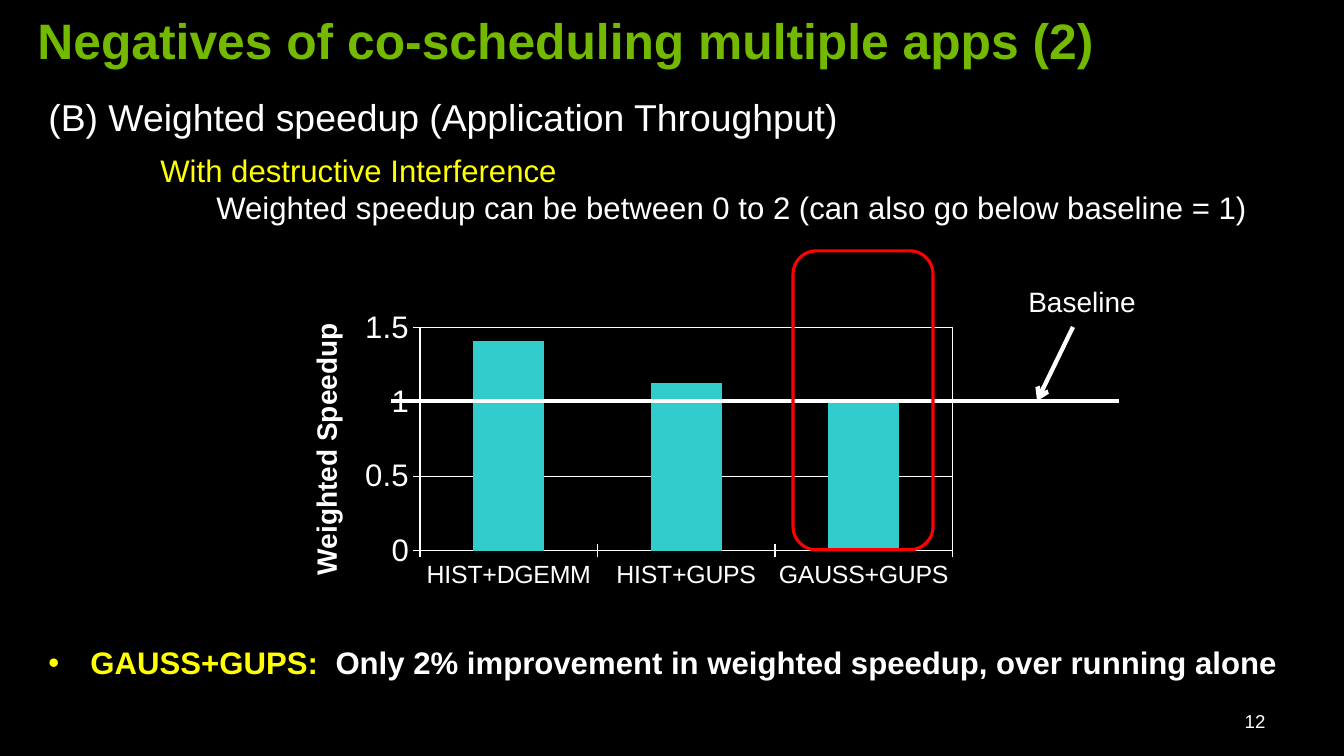
from dataclasses import dataclass

from pptx import Presentation
from pptx.chart.data import CategoryChartData
from pptx.dml.color import RGBColor
from pptx.enum.chart import XL_CHART_TYPE, XL_TICK_MARK
from pptx.enum.shapes import MSO_CONNECTOR, MSO_SHAPE
from pptx.enum.text import MSO_ANCHOR, PP_ALIGN
from pptx.oxml import parse_xml
from pptx.oxml.ns import nsdecls, qn
from pptx.util import Pt

COLUMNS = XL_CHART_TYPE.COLUMN_CLUSTERED
CROSS = XL_TICK_MARK.CROSS
STRAIGHT = MSO_CONNECTOR.STRAIGHT
ROUNDED = MSO_SHAPE.ROUNDED_RECTANGLE
TOP, MIDDLE = MSO_ANCHOR.TOP, MSO_ANCHOR.MIDDLE
LEFT, RIGHT = PP_ALIGN.LEFT, PP_ALIGN.RIGHT
FONT = "Arial"
COLORS = {
    "background": "000000",
    "title": "73B900",
    "text": "FFFFFF",
    "emphasis": "FFFF00",
    "bar": "33CCCC",
    "highlight": "FF0000",
}
PLOT = {"x": 0.207, "y": 0.13, "w": 0.751, "h": 0.668}


@dataclass
class Span:
    text: str
    size: float
    color: str = "text"
    bold: bool = False


@dataclass
class Para:
    spans: list[Span]
    margin: float = 0
    bullet: bool = False
    align: PP_ALIGN = LEFT


@dataclass
class TextBox:
    left: float
    top: float
    width: float
    height: float
    paras: list[Para]
    anchor: MSO_ANCHOR = TOP


@dataclass
class Line:
    start: tuple[float, float]
    end: tuple[float, float]
    weight: float
    arrow: bool = False


TEXT_BOXES = [
    TextBox(24, 410.4, 857, 58, [Para([
        Span("GAUSS+GUPS:  ", 20, "emphasis", True),
        Span("Only 2% improvement in weighted speedup, over running alone", 20, bold=True),
    ], 27, True)]),
    TextBox(619, 450.7, 201.6, 26, [Para([Span("12", 12)], align=RIGHT)], MIDDLE),
    TextBox(17, 2.9, 762, 46, [
        Para([Span("Negatives of co-scheduling multiple apps (2)", 32, "title", True)])]),
    TextBox(24, 57, 608, 36, [
        Para([Span("(B) Weighted speedup (Application Throughput)", 24)])]),
    TextBox(60, 93.6, 792, 55.5, [
        Para([Span("With destructive Interference", 20, "emphasis")], 36),
        Para([Span("Weighted speedup can be between 0 to 2 "
                   "(can also go below baseline = 1)", 20)], 72),
    ]),
    TextBox(654, 179.3, 92, 30, [Para([Span("Baseline", 18)])]),
]
LINES = [
    Line((251.3, 257.8), (719.3, 257.8), 2),
    Line((689.8, 210.2), (666.7, 257.8), 2.75, True),
]


def rgb(name: str) -> RGBColor:
    """Return a named colour."""
    return RGBColor.from_string(COLORS[name])


def style_font(font, size: float, color: str = "text", bold: bool = False) -> None:
    """Set the face, size, colour and weight of a font."""
    font.name, font.size, font.bold = FONT, Pt(size), bold
    font.color.rgb = rgb(color)


def add_text(page, item: TextBox) -> None:
    """Draw a text box with its paragraphs."""
    box = page.shapes.add_textbox(Pt(item.left), Pt(item.top), Pt(item.width), Pt(item.height))
    frame = box.text_frame
    frame.word_wrap = True
    frame.vertical_anchor = item.anchor
    frame.text = "\n".join("" for _ in item.paras)
    for para, content in zip(frame.paragraphs, item.paras):
        para.alignment = content.align
        properties = para._p.get_or_add_pPr()
        properties.set("marL", str(Pt(content.margin)))
        if content.bullet:
            para.space_before = Pt(2)
            properties.set("indent", str(-Pt(content.margin)))
            properties.append(parse_xml(f'<a:buFont {nsdecls("a")} typeface="{FONT}"/>'))
            properties.append(parse_xml(f'<a:buChar {nsdecls("a")} char="•"/>'))
        for span in content.spans:
            run = para.add_run()
            run.text = span.text
            style_font(run.font, span.size, span.color, span.bold)


def add_line(page, item: Line) -> None:
    """Draw a straight line, with an arrowhead if asked."""
    points = [Pt(value) for value in item.start + item.end]
    connector = page.shapes.add_connector(STRAIGHT, *points)
    connector.line.color.rgb = rgb("text")
    connector.line.width = Pt(item.weight)
    if item.arrow:
        connector.line._get_or_add_ln().append(
            parse_xml(f'<a:tailEnd {nsdecls("a")} type="arrow"/>'))
    connector._element.spPr.append(parse_xml(f'<a:effectLst {nsdecls("a")}/>'))


def add_speedup_chart(page) -> None:
    """Draw the weighted speedup column chart."""
    data = CategoryChartData()
    data.categories = ["HIST+DGEMM", "HIST+GUPS", "GAUSS+GUPS"]
    data.add_series("Series 1", [1.41, 1.13, 1.02])
    chart = page.shapes.add_chart(
        COLUMNS, Pt(175.7), Pt(182.9), Pt(455.8), Pt(214.6), data).chart
    chart.has_legend = chart.has_title = False
    style_font(chart.font, 20)
    plot = chart.plots[0]
    plot.gap_width, plot.vary_by_categories = 150, False
    fill = plot.series[0].format.fill
    fill.solid()
    fill.fore_color.rgb = rgb("bar")

    values = chart.value_axis
    values.minimum_scale, values.maximum_scale, values.major_unit = 0, 1.5, 0.5
    values.has_major_gridlines = True
    values.axis_title.text_frame.text = "Weighted Speedup"
    title_run = values.axis_title.text_frame.paragraphs[0].runs[0]
    style_font(title_run.font, 18, bold=True)
    for axis, size in ((values, 20), (chart.category_axis, 16)):
        axis.major_tick_mark = CROSS
        style_font(axis.tick_labels.font, size)
        axis.format.line.color.rgb = rgb("text")
        axis.format.line.width = Pt(0.75)
    values.major_gridlines.format.line.color.rgb = rgb("text")
    values.major_gridlines.format.line.width = Pt(0.75)

    area = chart._chartSpace.chart.plotArea
    for layout in area.findall(qn("c:layout")):
        area.remove(layout)
    modes = "".join(f'<c:{key}Mode val="edge"/>' for key in "xy")
    sizes = "".join(f'<c:{key} val="{value}"/>' for key, value in PLOT.items())
    area.insert(0, parse_xml(
        f'<c:layout {nsdecls("c")}><c:manualLayout><c:layoutTarget val="inner"/>'
        f'{modes}{sizes}</c:manualLayout></c:layout>'))
    area.append(parse_xml(
        f'<c:spPr {nsdecls("c", "a")}><a:noFill/><a:ln w="{Pt(0.75)}"><a:solidFill>'
        f'<a:srgbClr val="{COLORS["text"]}"/></a:solidFill></a:ln></c:spPr>'))


def add_highlight(page) -> None:
    """Draw the rounded outline around the last column."""
    box = page.shapes.add_shape(ROUNDED, Pt(509.8), Pt(161.3), Pt(90), Pt(192.2))
    box.shadow.inherit = False
    box.fill.background()
    box.line.color.rgb = rgb("highlight")
    box.line.width = Pt(2)


def main() -> None:
    """Build and save the slide."""
    deck = Presentation()
    deck.slide_width, deck.slide_height = Pt(864), Pt(486)
    page = deck.slides.add_slide(deck.slide_layouts[6])
    page.background.fill.solid()
    page.background.fill.fore_color.rgb = rgb("background")
    add_speedup_chart(page)
    for line in LINES:
        add_line(page, line)
    for item in TEXT_BOXES:
        add_text(page, item)
    add_highlight(page)
    deck.save("out.pptx")


if __name__ == "__main__":
    main()
